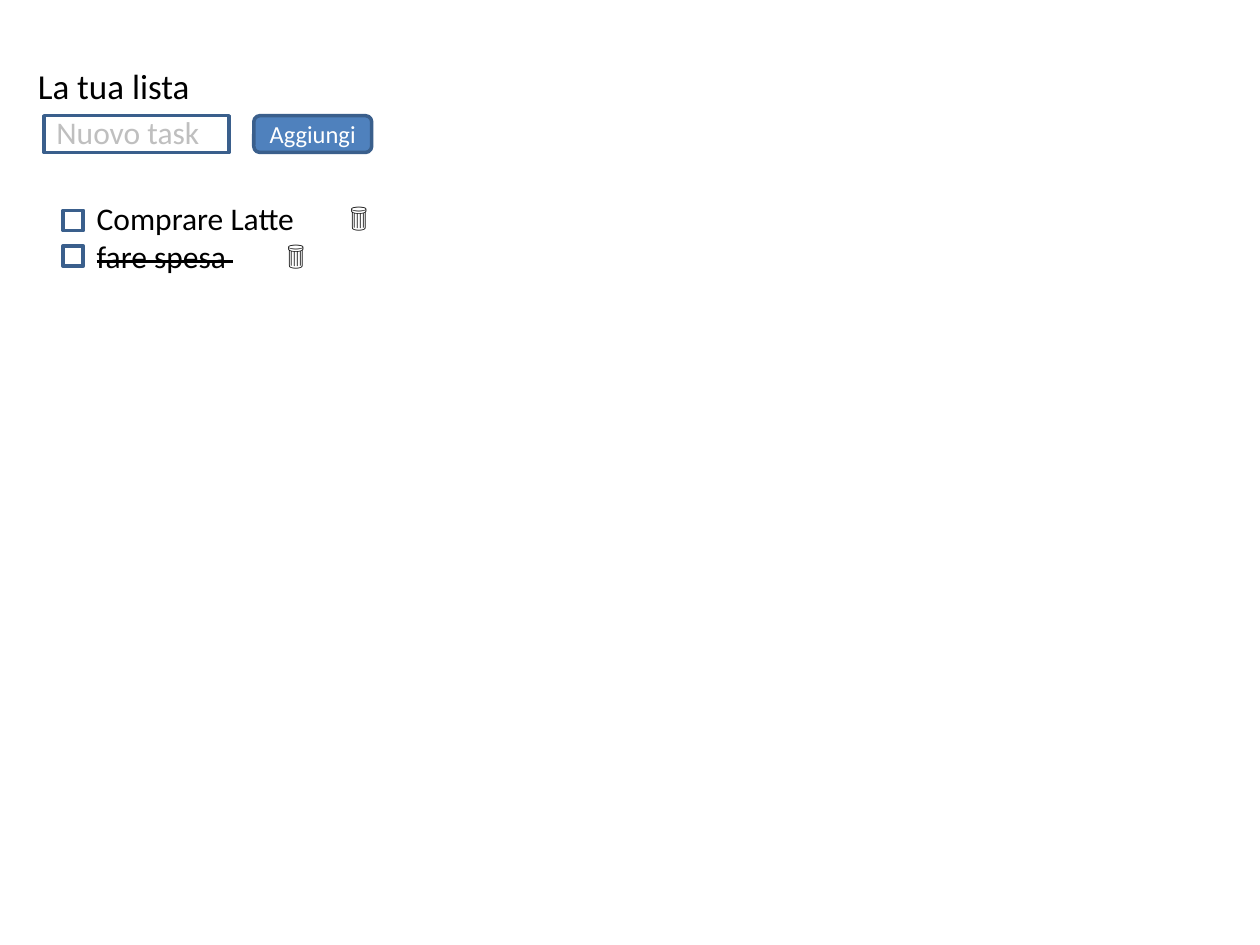
"""Build a to-do list wireframe slide."""
from pptx import Presentation
from pptx.dml.color import RGBColor
from pptx.enum.shapes import MSO_SHAPE as SHAPE
from pptx.enum.text import MSO_ANCHOR as ANCHOR, MSO_AUTO_SIZE as FIT, PP_ALIGN as ALIGN
from pptx.util import Pt

BLUE, EDGE, BLACK, GREY, WHITE = "4F81BD", "3A5F8C", "000000", "BFBFBF", "FFFFFF"


def rgb(value):
    """Turn a hex string into a colour."""
    return RGBColor.from_string(value)


def add_run(p, text, size, color=BLACK, strike=False):
    """Add a formatted run to a paragraph."""
    r = p.add_run()
    r.text = text
    for name, value in {"name": "Calibri", "size": Pt(size)}.items():
        setattr(r.font, name, value)
    r.font.color.rgb = rgb(color)
    if strike:
        r.font._element.set("strike", "sngStrike")


def add_box(s, kind, x, y, w, h, fill=None):
    """Add an outlined shape, filled or hollow."""
    sp = s.shapes.add_shape(kind, Pt(x), Pt(y), Pt(w), Pt(h))
    sp.shadow.inherit = False
    if fill:
        sp.fill.solid()
        sp.fill.fore_color.rgb = rgb(fill)
    else:
        sp.fill.background()
    sp.line.color.rgb = rgb(EDGE)
    sp.line.width = Pt(2)
    return sp


def add_text(s, x, y, w, h):
    """Add a wrapping text box and return its frame."""
    tf = s.shapes.add_textbox(Pt(x), Pt(y), Pt(w), Pt(h)).text_frame
    for name, value in {"word_wrap": True, "auto_size": FIT.SHAPE_TO_FIT_TEXT}.items():
        setattr(tf, name, value)
    return tf


def heading(s, text, x, y, w, h):
    """Place the list heading in the title placeholder."""
    sp = s.shapes.title
    for name, value in {"left": x, "top": y, "width": w, "height": h}.items():
        setattr(sp, name, Pt(value))
    tf = sp.text_frame
    tf.vertical_anchor = ANCHOR.MIDDLE
    p = tf.paragraphs[0]
    p.alignment = ALIGN.LEFT
    add_run(p, text, 20)


def entry_row(s, hint, action, x, y, w, h):
    """Place the input field and its button."""
    field_w, button_w = w * 0.565, w * 0.36
    add_box(s, SHAPE.RECTANGLE, x, y, field_w, h)
    tf = add_text(s, x, y - 5, field_w + 2, 51)
    add_run(tf.paragraphs[0], hint, 18, GREY)
    button = add_box(s, SHAPE.ROUNDED_RECTANGLE, x + w - button_w, y, button_w, h, BLUE)
    tf = button.text_frame
    for name, value in {"vertical_anchor": ANCHOR.MIDDLE, "word_wrap": False}.items():
        setattr(tf, name, value)
    p = tf.paragraphs[0]
    p.alignment = ALIGN.CENTER
    add_run(p, action, 14, WHITE)


def task_list(s, tasks, x, y, w, h):
    """Place the tasks with checkboxes and bins."""
    tf = add_text(s, x + 12.2, y, w - 12.2, h)
    for i, (task, done) in enumerate(tasks):
        p = tf.paragraphs[0] if i == 0 else tf.add_paragraph()
        add_run(p, task, 18, strike=done)
        add_run(p, "\t🗑", 18)
        add_box(s, SHAPE.RECTANGLE, x, y + 10 + i * 20.3, 11.6, 11.6)


prs = Presentation()
prs.slide_width, prs.slide_height = Pt(720), Pt(540)
s = prs.slides.add_slide(prs.slide_layouts[5])
heading(s, "La tua lista", 14.4, 15.1, 141.8, 67.7)
entry_row(s, "Nuovo task", "Aggiungi", 25.2, 66.1, 187.2, 21)
task_list(s, [("Comprare Latte", False), ("fare spesa ", True)], 36, 110.2, 205.2, 72.7)
prs.save("out.pptx")
